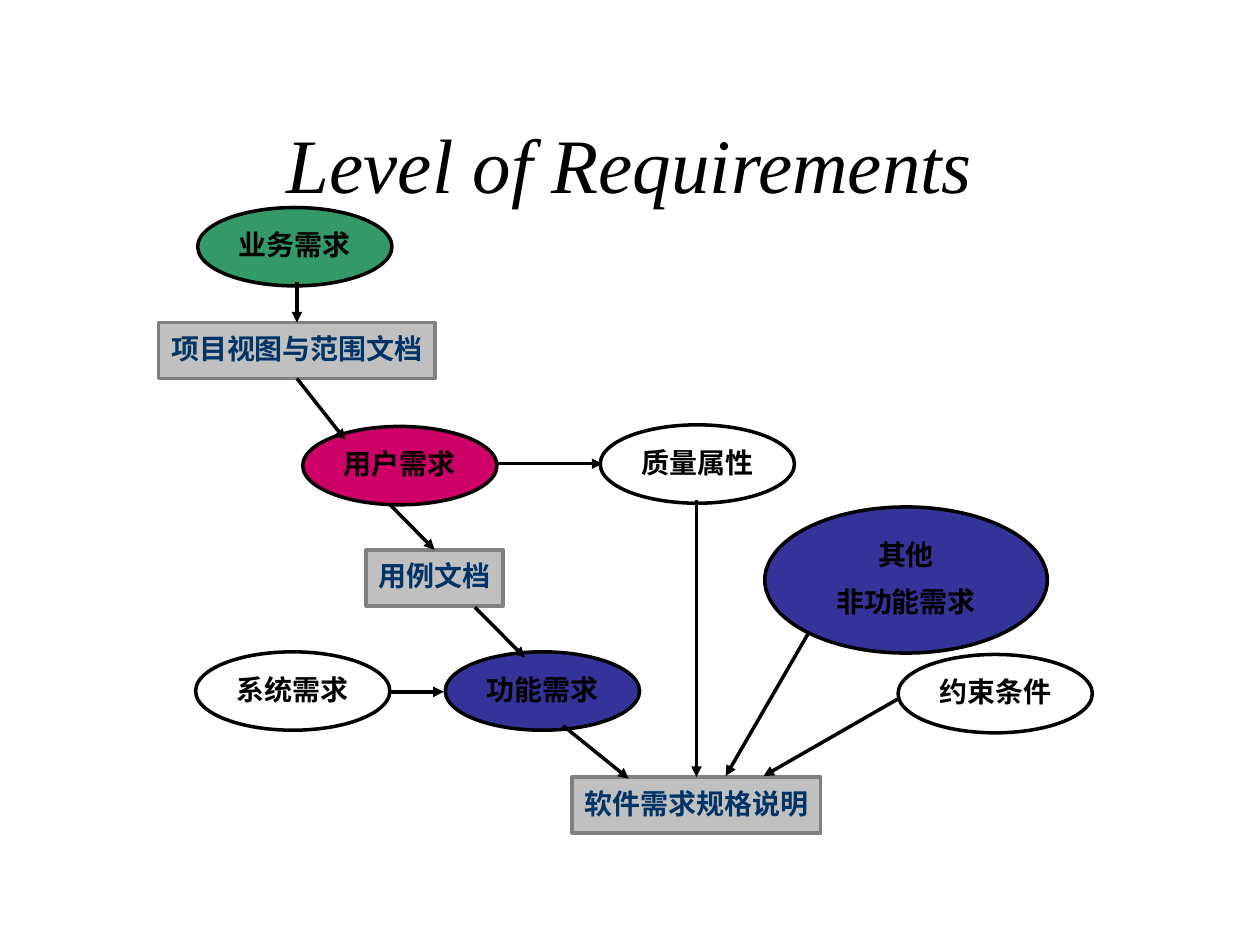
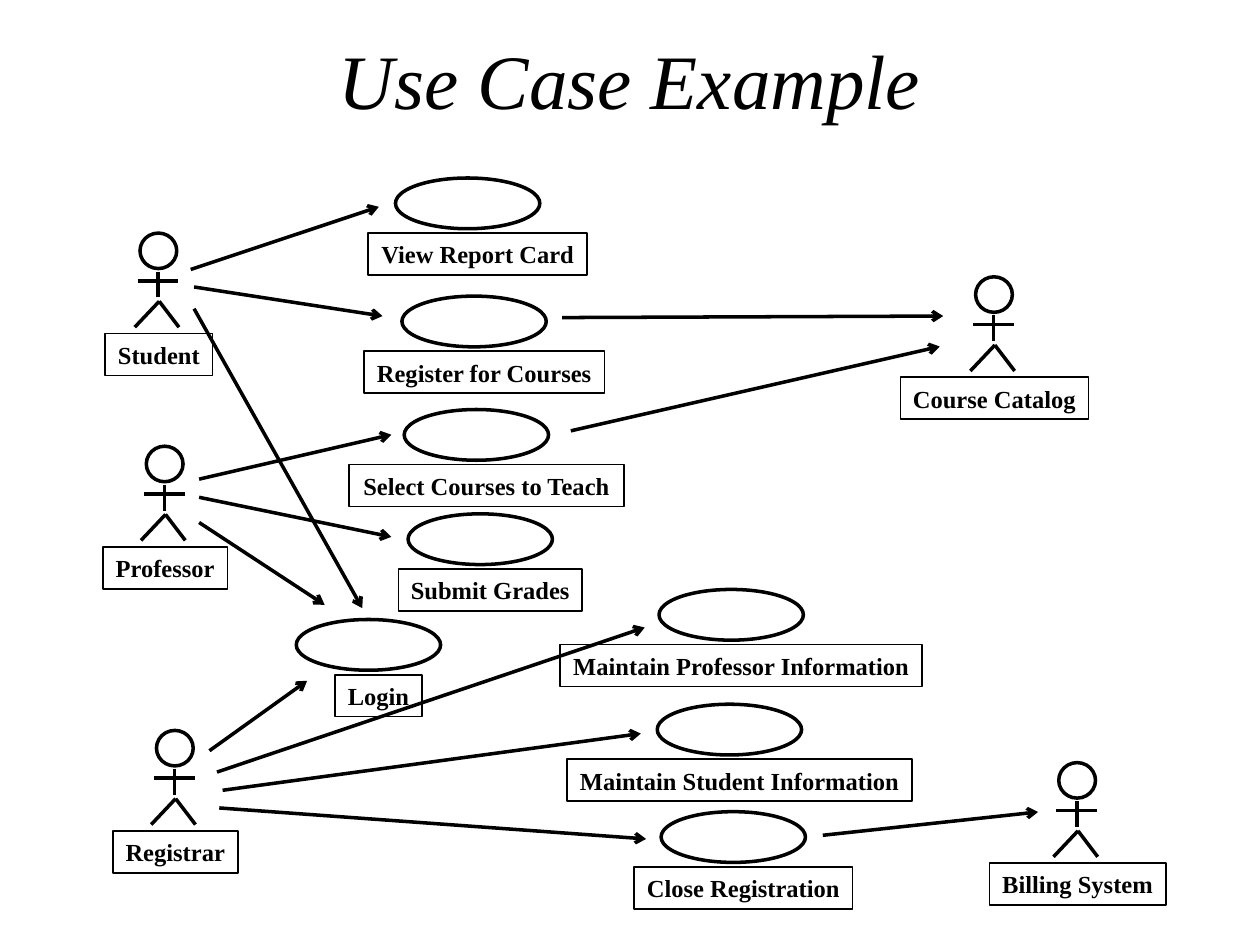
from dataclasses import dataclass

from lxml import etree
from pptx import Presentation
from pptx.dml.color import RGBColor
from pptx.enum.shapes import MSO_CONNECTOR, MSO_SHAPE
from pptx.enum.text import MSO_ANCHOR, PP_ALIGN
from pptx.oxml.ns import qn
from pptx.util import Pt

STRAIGHT = MSO_CONNECTOR.STRAIGHT
OVAL = MSO_SHAPE.OVAL
RECTANGLE = MSO_SHAPE.RECTANGLE
MIDDLE = MSO_ANCHOR.MIDDLE
CENTER = PP_ALIGN.CENTER
TITLE_ONLY = 5
TOP, BOTTOM = 0, 2


@dataclass(frozen=True)
class Theme:
    font: str = "Times New Roman"
    ink: str = "000000"
    background: str = "FFFFFF"
    business: str = "339966"
    user: str = "CC0066"
    software: str = "333399"
    document: str = "C0C0C0"
    document_edge: str = "808080"
    document_text: str = "003366"
    title_size: float = 44
    node_size: float = 16
    label_size: float = 14
    line: float = 2
    label_line: float = 1


THEME = Theme()


def color(value):
    return RGBColor.from_string(value)


def write_text(box, text, size, ink=THEME.ink, bold=False, italic=False,
               wrap=False, spacing=None, before=0):
    frame = box.text_frame
    frame.word_wrap = wrap
    frame.vertical_anchor = MIDDLE
    frame.margin_left = frame.margin_right = Pt(7.2)
    frame.margin_top = frame.margin_bottom = Pt(3.6)
    for index, line in enumerate(text.split("\n")):
        para = frame.add_paragraph() if index else frame.paragraphs[0]
        para.alignment = CENTER
        para.space_before = Pt(before if index else 0)
        if spacing:
            para.line_spacing = spacing
        span = para.add_run()
        span.text = line
        span.font.name = THEME.font
        span.font.size = Pt(size)
        span.font.bold = bold
        span.font.italic = italic
        span.font.color.rgb = color(ink)


def draw_shape(page, kind, left, top, width, height, fill=None,
               edge=THEME.ink, weight=THEME.line):
    shape = page.shapes.add_shape(kind, Pt(left), Pt(top), Pt(width), Pt(height))
    shape.shadow.inherit = False
    if fill:
        shape.fill.solid()
        shape.fill.fore_color.rgb = color(fill)
    else:
        shape.fill.background()
    shape.line.color.rgb = color(edge)
    shape.line.width = Pt(weight)
    return shape


def draw_line(page, start, end, head=None, begin_box=None, end_box=None):
    line = page.shapes.add_connector(STRAIGHT, *map(Pt, start + end))
    if begin_box is not None:
        line.begin_connect(begin_box, BOTTOM)
    if end_box is not None:
        line.end_connect(end_box, TOP)
    line.line.color.rgb = color(THEME.ink)
    line.line.width = Pt(THEME.line)
    if head:
        etree.SubElement(line.line._get_or_add_ln(), qn("a:tailEnd"), type=head)
    etree.SubElement(line._element.spPr, qn("a:effectLst"))


def add_page(deck, title, top):
    page = deck.slides.add_slide(deck.slide_layouts[TITLE_ONLY])
    page.background.fill.solid()
    page.background.fill.fore_color.rgb = color(THEME.background)
    box = page.shapes.title
    box.left, box.top, box.width, box.height = map(Pt, (54, top, 612, 90))
    write_text(box, title, THEME.title_size, italic=True, wrap=True)
    return page


def draw_requirement(page, text, left, top, fill=None, width=111, height=44.8):
    box = draw_shape(page, OVAL, left, top, width, height, fill)
    write_text(box, text, THEME.node_size, bold=True, spacing=0.9, before=10)


def draw_document(page, text, left, top, width):
    box = draw_shape(page, RECTANGLE, left, top, width, 32,
                     THEME.document, THEME.document_edge)
    write_text(box, text, THEME.node_size, THEME.document_text, bold=True, spacing=0.9)
    return box


def draw_label(page, text, center, top, width):
    box = draw_shape(page, RECTANGLE, center - width / 2, top, width, 24,
                     weight=THEME.label_line)
    write_text(box, text, THEME.label_size, bold=True)


def draw_actor(page, name, left, top, label_width):
    draw_shape(page, OVAL, left, top, 21, 20.3)
    limbs = [
        ((11, 39), (-3, 53.8)),
        ((11, 39), (22.3, 53.8)),
        ((10.3, 22), (10.3, 36.8)),
        ((-1.4, 27.3), (22, 27.3)),
    ]
    for start, end in limbs:
        draw_line(page, (left + start[0], top + start[1]),
                  (left + end[0], top + end[1]))
    draw_label(page, name, left + 10.8, top + 57.4, label_width)


def draw_use_case(page, name, left, top, label_width):
    draw_shape(page, OVAL, left, top, 82.5, 29)
    draw_label(page, name, left + 47, top + 31.5, label_width)


def build_requirement_levels(deck):
    page = add_page(deck, "Level of Requirements", 48.2)
    draw_requirement(page, "业务需求", 113, 118.6, THEME.business)
    draw_requirement(page, "用户需求", 173, 243.7, THEME.user)
    draw_requirement(page, "质量属性", 343, 242.8)
    draw_requirement(page, "功能需求", 254.5, 372.5, THEME.software)
    draw_requirement(page, "系统需求", 111.8, 372.5)
    draw_requirement(page, "其他\n非功能需求", 437, 289.7, THEME.software, 161.5, 83.5)
    draw_requirement(page, "约束条件", 513.2, 374)

    vision = draw_document(page, "项目视图与范围文档", 90.7, 184.3, 158)
    use_cases = draw_document(page, "用例文档", 209.2, 314.2, 78.3)
    specification = draw_document(page, "软件需求规格说明", 327, 444, 142)

    arrows = [
        ((169.7, 161.3), (169.7, 184.3), None, vision),
        ((169.7, 216.3), (197.3, 251.3), vision, None),
        ((222.5, 288), (248.4, 314.2), None, use_cases),
        ((283.7, 265), (344.2, 265), None, None),
        ((271.4, 347), (300, 375.8), None, None),
        ((223.2, 395.3), (253.6, 395.3), None, None),
        ((321.8, 414.7), (359.3, 445), None, None),
        ((398, 285.8), (398, 444), None, specification),
        ((462.2, 361.4), (414.7, 443.5), None, None),
        ((512.8, 399.6), (436.3, 443.5), None, None),
    ]
    for start, end, begin_box, end_box in arrows:
        draw_line(page, start, end, "triangle", begin_box, end_box)


def build_use_case_example(deck):
    page = add_page(deck, "Use Case Example", 0)
    actors = [
        ("Student", 80, 133.2, 61.2),
        ("Registrar", 89.4, 417.4, 71.3),
        ("Professor", 83.6, 255, 71.3),
        ("Billing System", 605, 435.8, 100.8),
        ("Course Catalog", 557.5, 158.2, 107.5),
    ]
    for actor in actors:
        draw_actor(page, *actor)

    use_cases = [
        ("View Report Card", 226, 101.7, 125),
        ("Register for Courses", 229.7, 169.2, 137.5),
        ("Select Courses to Teach", 231, 234, 157),
        ("Submit Grades", 233.2, 293.6, 105),
        ("Maintain Professor Information", 376.6, 336.8, 206.8),
        ("Maintain Student Information", 375.6, 402.4, 196.8),
        ("Close Registration", 377.8, 463.8, 124.8),
        ("Login", 169.3, 354, 49.8),
    ]
    for use_case in use_cases:
        draw_use_case(page, *use_case)

    arrows = [
        ((109, 154), (216.5, 118.2)),
        ((110.9, 164), (218.6, 180.6)),
        ((113.8, 273.8), (223.6, 248.4)),
        ((113.8, 284.2), (223.6, 306.8)),
        ((110.9, 176.4), (207, 347.5)),
        ((113.8, 298.6), (185.5, 345.6)),
        ((119.7, 429), (175.5, 389)),
        ((124, 441.2), (368.4, 358.6)),
        ((127.2, 451.6), (366.2, 419.2)),
        ((125.3, 461.7), (369.2, 479.4)),
        ((321.3, 181.5), (539, 180.6)),
        ((326.2, 246.2), (537, 198)),
        ((470.2, 477.3), (593.2, 464)),
    ]
    for start, end in arrows:
        draw_line(page, start, end, "arrow")


def main():
    deck = Presentation()
    deck.slide_width, deck.slide_height = Pt(720), Pt(540)
    build_requirement_levels(deck)
    build_use_case_example(deck)
    deck.save("out.pptx")


if __name__ == "__main__":
    main()
